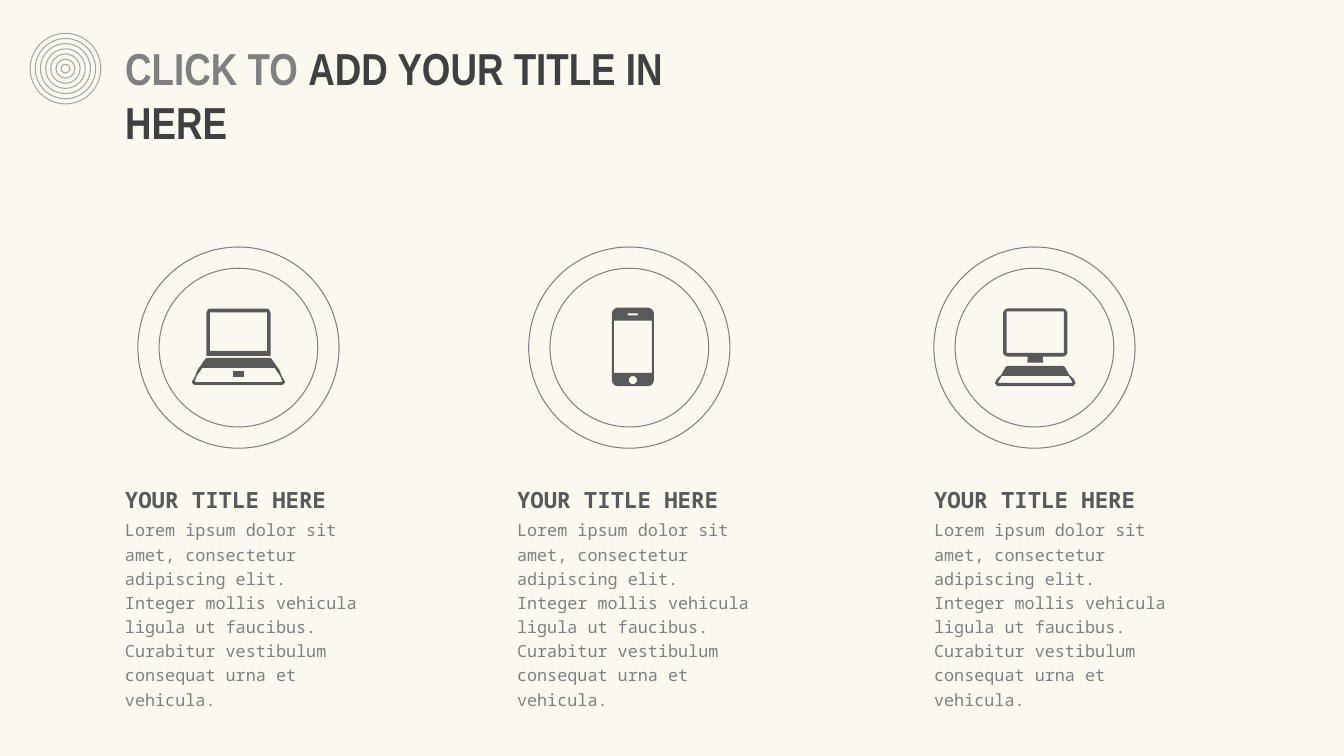
from dataclasses import dataclass

from pptx import Presentation
from pptx.dml.color import RGBColor
from pptx.enum.shapes import MSO_SHAPE
from pptx.enum.text import MSO_ANCHOR, MSO_AUTO_SIZE, PP_ALIGN
from pptx.util import Cm, Pt

OVAL = MSO_SHAPE.OVAL
TOP = MSO_ANCHOR.TOP
GROW = MSO_AUTO_SIZE.SHAPE_TO_FIT_TEXT
LEFT = PP_ALIGN.LEFT
TITLE_ONLY = 5


@dataclass(frozen=True)
class Theme:
    """Colours, fonts and type sizes of the slide."""

    paper: RGBColor = RGBColor(0xFB, 0xF8, 0xEF)
    mark: RGBColor = RGBColor(0xA6, 0xA6, 0xA6)
    soft: RGBColor = RGBColor(0x80, 0x80, 0x80)
    strong: RGBColor = RGBColor(0x59, 0x59, 0x59)
    dark: RGBColor = RGBColor(0x40, 0x40, 0x40)
    title_font: str = "Arial Narrow"
    text_font: str = "Noto Sans Mono"
    title_size: int = 32
    heading_size: int = 16
    body_size: int = 12


def box_half(half_width, top, bottom):
    """Return the right half of a centred rectangle."""
    return [(half_width, top), (half_width, bottom)]


LAPTOP = [
    [
        [(0.72, 7.78), (0.77, 7.8), (0.81, 7.88), (0.81, 8.97)],
        box_half(0.72, 7.87, 8.84),
    ],
    [
        [(0.8, 9.02), (0.83, 9.04), (1.03, 9.32), (1.1, 9.5), (1.16, 9.6),
         (1.18, 9.63), (1.14, 9.68), (1.1, 9.7), (1.03, 9.7)],
        [(0.91, 9.27), (1.05, 9.47), (1.1, 9.6), (1.08, 9.63)],
    ],
    [box_half(0.14, 9.35, 9.5)],
]
PHONE = [
    [
        [(0.38, 7.75), (0.46, 7.78), (0.51, 7.83), (0.53, 7.9),
         (0.53, 9.58), (0.51, 9.65), (0.46, 9.71), (0.38, 9.73)],
        box_half(0.13, 7.9, 7.95),
        box_half(0.48, 8.08, 9.4),
        [(0.04, 9.48), (0.1, 9.54), (0.1, 9.62), (0.04, 9.68)],
    ],
]
DESKTOP = [
    [
        [(0.69, 7.77), (0.76, 7.8), (0.81, 7.87), (0.81, 8.9), (0.77, 8.96),
         (0.69, 8.99), (0.19, 8.99), (0.2, 9.14)],
        box_half(0.72, 7.85, 8.89),
    ],
    [
        [(0.69, 9.22), (0.74, 9.24), (0.86, 9.45), (0.97, 9.55), (1.0, 9.62),
         (1.02, 9.65), (0.98, 9.7), (0.95, 9.73), (0.86, 9.73)],
        [(0.84, 9.47), (0.91, 9.58), (0.94, 9.65), (0.86, 9.65)],
    ],
]

COLUMNS = [
    (2.9, 6.01, 6.01, LAPTOP),
    (12.78, 15.86, 15.95, PHONE),
    (23.29, 26.07, 26.09, DESKTOP),
]
HEADING = "YOUR TITLE HERE"
BODY = (
    "Lorem ipsum dolor sit amet, consectetur adipiscing elit. "
    "Integer mollis vehicula ligula ut faucibus. "
    "Curabitur vestibulum consequat urna et vehicula."
)


class SlideBuilder:
    """Draws styled elements on one slide."""

    def __init__(self, presentation, theme):
        """Add the slide and paint its background."""
        self.theme = theme
        self.slide = presentation.slides.add_slide(
            presentation.slide_layouts[TITLE_ONLY])
        background = self.slide.background.fill
        background.solid()
        background.fore_color.rgb = theme.paper

    def run(self, paragraph, text, font_name, size, color, bold=False):
        """Add one formatted run."""
        run = paragraph.add_run()
        run.text = text
        run.font.name = font_name
        run.font.size = Pt(size)
        run.font.color.rgb = color
        run.font.bold = bold

    def title(self, left, top, width, height, parts):
        """Place the title and add its coloured parts."""
        shape = self.slide.shapes.title
        shape.left, shape.top = Cm(left), Cm(top)
        shape.width, shape.height = Cm(width), Cm(height)
        frame = shape.text_frame
        frame.word_wrap = True
        frame.auto_size = GROW
        frame.vertical_anchor = TOP
        paragraph = frame.paragraphs[0]
        paragraph.alignment = LEFT
        for text, color in parts:
            self.run(paragraph, text, self.theme.title_font,
                     self.theme.title_size, color, True)

    def text(self, left, top, height, text, size, color, bold=False):
        """Add a wrapped column text box."""
        shape = self.slide.shapes.add_textbox(
            Cm(left), Cm(top), Cm(6.48), Cm(height))
        frame = shape.text_frame
        frame.word_wrap = True
        frame.auto_size = GROW
        paragraph = frame.paragraphs[0]
        paragraph.line_spacing = 1.2
        self.run(paragraph, text, self.theme.text_font, size, color, bold)

    def ring(self, center_x, center_y, diameter, color):
        """Add an unfilled hairline circle."""
        shape = self.slide.shapes.add_shape(
            OVAL, Cm(center_x - diameter / 2), Cm(center_y - diameter / 2),
            Cm(diameter), Cm(diameter))
        shape.shadow.inherit = False
        shape.fill.background()
        shape.line.color.rgb = color
        shape.line.width = Pt(0)

    def icon_part(self, center_x, halves):
        """Mirror right halves into closed contours of one shape."""
        builder = None
        for half in halves:
            mirrored = [(-offset, y) for offset, y in reversed(half)]
            points = [(Cm(center_x + offset), Cm(y))
                      for offset, y in half + mirrored]
            if builder is None:
                builder = self.slide.shapes.build_freeform(*points[0])
            else:
                builder.move_to(*points[0])
            builder.add_line_segments(points[1:], close=True)
        shape = builder.convert_to_shape()
        shape.shadow.inherit = False
        shape.fill.solid()
        shape.fill.fore_color.rgb = self.theme.strong
        shape.line.fill.background()


def main():
    """Build and save the slide."""
    presentation = Presentation()
    presentation.slide_width = Cm(33.87)
    presentation.slide_height = Cm(19.05)
    theme = Theme()
    builder = SlideBuilder(presentation, theme)
    for index in range(7):
        builder.ring(1.65, 1.73, 1.78 - 0.26 * index, theme.mark)
    builder.title(2.9, 0.91, 14.15, 1.63, [
        ("CLICK TO ", theme.soft), ("ADD YOUR TITLE IN HERE", theme.dark)])
    for text_left, ring_center, icon_center, icon in COLUMNS:
        for diameter in (5.07, 4):
            builder.ring(ring_center, 8.76, diameter, theme.soft)
        for halves in icon:
            builder.icon_part(icon_center, halves)
        builder.text(text_left, 11.99, 1.02, HEADING,
                     theme.heading_size, theme.strong, True)
        builder.text(text_left, 12.88, 3.33, BODY,
                     theme.body_size, theme.soft)
    presentation.save("out.pptx")


if __name__ == "__main__":
    main()
